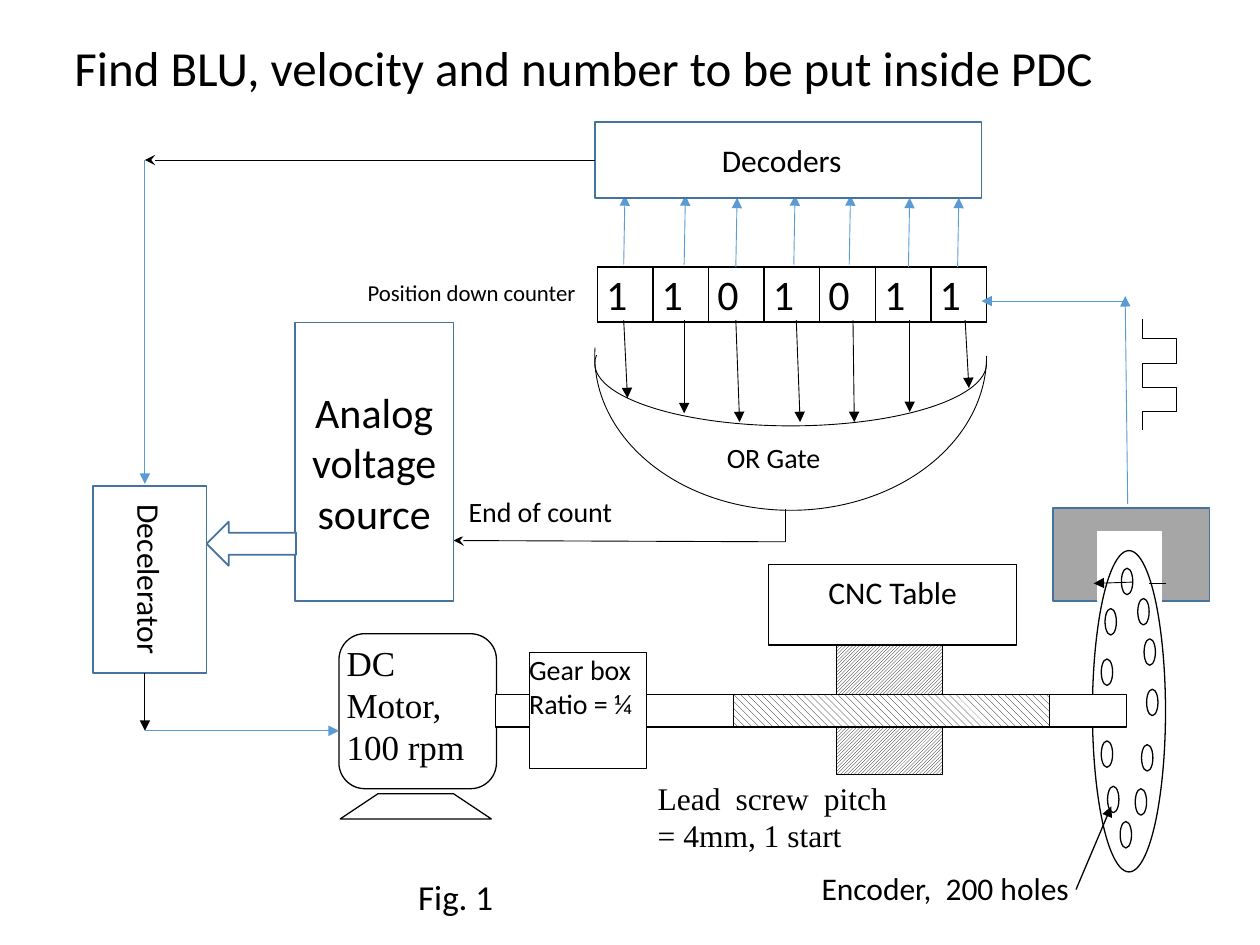
from lxml import etree
from pptx import Presentation
from pptx import util as u
from pptx.dml.color import RGBColor
from pptx.enum import dml, shapes, text
from pptx.oxml.ns import qn

COLORS = {"ink": "000000", "paper": "FFFFFF", "outline": "43739E",
          "signal": "5B9BD5", "sensor": "A6A6A6"}
KIND = shapes.MSO_SHAPE
ALIGN = text.PP_ALIGN
TOP, MIDDLE = text.MSO_ANCHOR.TOP, text.MSO_ANCHOR.MIDDLE

presentation = Presentation()
presentation.slide_width, presentation.slide_height = u.Inches(10), u.Inches(7.5)
GRID = presentation.slide_width / 100  # the slide is 100 columns by 75 rows
slide = presentation.slides.add_slide(presentation.slide_layouts[5])


def add_box(kind, place, words="", size=18, line=None, width=0.75, fill="paper",
            font="Calibri", align=ALIGN.LEFT, anchor=TOP, inset=None, spacing=1.0):
    """Add a preset shape at (column, row, columns, rows), with optional text."""
    shape = slide.shapes.add_shape(kind, *[round(value * GRID) for value in place])
    shape.shadow.inherit = False
    if fill:
        shape.fill.solid()
        shape.fill.fore_color.rgb = RGBColor.from_string(COLORS[fill])
    else:
        shape.fill.background()
    if line:
        shape.line.color.rgb = RGBColor.from_string(COLORS[line])
        shape.line.width = u.Pt(width)
    else:
        shape.line.fill.background()
    if words:
        frame = shape.text_frame
        frame.text = words
        frame.word_wrap = True
        frame.vertical_anchor = anchor
        if inset is not None:
            frame.margin_left = frame.margin_right = u.Inches(inset)
            frame.margin_top = frame.margin_bottom = u.Inches(inset)
        paragraph = frame.paragraphs[0]
        paragraph.alignment = align
        paragraph.line_spacing = spacing
        paragraph.font.size = u.Pt(size)
        paragraph.font.name = font
        paragraph.font.color.rgb = RGBColor.from_string(COLORS["ink"])
    return shape


def add_line(start, end, color="ink", arrow=None, width=0.5,
             kind=shapes.MSO_CONNECTOR.STRAIGHT):
    """Add a connector between two (column, row) points; the arrow is at the end."""
    connector = slide.shapes.add_connector(
        kind, *[round(value * GRID) for value in (*start, *end)])
    connector.line.color.rgb = RGBColor.from_string(COLORS[color])
    connector.line.width = u.Pt(width)
    if arrow:
        outline = connector.line._get_or_add_ln()
        etree.SubElement(outline, qn("a:tailEnd"), type=arrow)
    etree.SubElement(connector._element.spPr, qn("a:effectLst"))
    return connector


# Title
title = slide.shapes.title
title.left, title.top, title.width, title.height = [
    round(value * GRID) for value in (4.9, 1.6, 90, 8)]
title.text_frame.text = "Find BLU, velocity and number to be put inside PDC"
title.text_frame.vertical_anchor = MIDDLE
paragraph = title.text_frame.paragraphs[0]
paragraph.alignment = ALIGN.LEFT
paragraph.line_spacing = 0.9
paragraph.font.size = u.Pt(28)
paragraph.font.name = "Calibri"
paragraph.font.color.rgb = RGBColor.from_string(COLORS["ink"])

# Encoder sensor and disc
add_box(KIND.RECTANGLE, (83.6, 40.3, 12.4, 7.4), line="outline", width=1, fill="sensor")
add_box(KIND.RECTANGLE, (87.1, 42.2, 5.1, 5.5), line="paper", width=1)
add_box(KIND.OVAL, (86.7, 43.7, 5.8, 25.5), line="ink")
holes = [(89, 45.1), (87.7, 48.3), (90.8, 50.7), (87.4, 52.3), (90.1, 62.6), (88.9, 65.2),
         (91, 54.7), (90.6, 59.1), (90.3, 47.5), (87.4, 58.8), (87.9, 62.4)]
for column, row in holes:
    add_box(KIND.OVAL, (column, row, 0.9, 2.1), line="ink")
add_box(KIND.RECTANGLE, (65.2, 68.8, 21.9, 5.5), "Encoder,  200 holes",
        inset=0, spacing=1.07)
add_line((85.4, 70.6), (88.2, 64), arrow="triangle", width=0.75)

# Motor, gear box and lead screw
add_box(KIND.FLOWCHART_ALTERNATE_PROCESS, (26.9, 50.3, 12.5, 12.3), "DC Motor, 100 rpm",
        size=20, line="ink", font="Times New Roman", inset=0)
builder = slide.shapes.build_freeform(26.7, 65.4, scale=GRID)
builder.add_line_segments([(29.7, 62.6), (35.8, 62.6), (38.8, 65.4)], close=True)
stand = builder.convert_to_shape()
stand.shadow.inherit = False
stand.fill.solid()
stand.fill.fore_color.rgb = RGBColor.from_string(COLORS["paper"])
stand.line.color.rgb = RGBColor.from_string(COLORS["ink"])
stand.line.width = u.Pt(0.75)
add_box(KIND.RECTANGLE, (39.3, 55.1, 40.2, 2.6), line="ink")
add_box(KIND.FLOWCHART_PROCESS, (42, 51.8, 9.3, 9.2), "Gear box Ratio = ¼",
        size=16, line="ink", inset=0)
nut = add_box(KIND.RECTANGLE, (66.4, 51.2, 8.4, 10.3), line="ink")
screw = add_box(KIND.RECTANGLE, (58.2, 55.1, 25.1, 2.6), line="ink")
for shape, pattern in ((nut, dml.MSO_PATTERN.LIGHT_UPWARD_DIAGONAL),
                       (screw, dml.MSO_PATTERN.WIDE_DOWNWARD_DIAGONAL)):
    shape.fill.patterned()
    shape.fill.pattern = pattern
    shape.fill.fore_color.rgb = RGBColor.from_string(COLORS["ink"])
    shape.fill.back_color.rgb = RGBColor.from_string(COLORS["paper"])
add_box(KIND.FLOWCHART_PROCESS, (61, 44.8, 19.7, 6.4), "CNC Table", line="ink",
        align=ALIGN.CENTER, spacing=1.07)
add_box(KIND.RECTANGLE, (52.2, 61.8, 18.2, 7.5), "Lead screw pitch = 4mm, 1 start",
        font="Times New Roman", align=ALIGN.JUSTIFY, inset=0)
add_box(KIND.RECTANGLE, (83.3, 55.1, 6.1, 2.6), line="ink")
add_box(KIND.RECTANGLE, (32.2, 68.8, 11.1, 6), "Fig. 1", size=20, spacing=1.07)

# Position down counter
bits = "1101011"
counter = slide.shapes.add_table(1, len(bits), *[
    round(value * GRID) for value in (47.4, 21.2, 30.9, 4.2)]).table
counter.first_row = counter.horz_banding = False
for cell, bit in zip(counter.iter_cells(), bits):
    cell.text_frame.text = bit
    cell.margin_left = cell.margin_right = u.Inches(0.07)
    cell.margin_top = cell.margin_bottom = 0
    paragraph = cell.text_frame.paragraphs[0]
    paragraph.line_spacing = 1.07
    paragraph.font.size = u.Pt(24)
    paragraph.font.name = "Calibri"
    paragraph.font.color.rgb = RGBColor.from_string(COLORS["ink"])
    properties = cell._tc.get_or_add_tcPr()
    for side in ("lnL", "lnR", "lnT", "lnB"):
        border = etree.SubElement(properties, qn("a:" + side), w=str(u.Pt(1)))
        border_fill = etree.SubElement(border, qn("a:solidFill"))
        etree.SubElement(border_fill, qn("a:srgbClr"), val=COLORS["ink"])
    cell.fill.solid()
    cell.fill.fore_color.rgb = RGBColor.from_string(COLORS["paper"])
add_box(KIND.RECTANGLE, (28.2, 21.5, 21, 4.2), "Position down counter", size=13,
        fill=None, spacing=1.07)

# OR gate with its inputs and output
for place in ((50.5, 12.7, 24.5, 31.1), (57.8, 13.3, 9.9, 31.1)):
    arc = add_box(KIND.ARC, place, line="ink", width=0.5, fill=None)
    arc.rotation = 90
    arc.adjustments[0], arc.adjustments[1] = 162, 55.485
gate_inputs = [(49.5, 49.8, 31.6), (54.3, 54.3, 32.8), (58.4, 58.7, 33.5), (63.2, 63.5, 33.5),
               (67.7, 67.8, 33.5), (72.2, 72.2, 32.7), (76.6, 76.9, 30.8)]
for start, end, row in gate_inputs:
    add_line((start, 25.4), (end, row), arrow="triangle")
add_line((62.3, 43), (36, 42.9), arrow="stealth")
add_line((62.3, 43), (62.3, 40.4))
add_box(KIND.RECTANGLE, (36.2, 38.6, 17.2, 4), "End of count", size=16, spacing=1.07)
add_box(KIND.RECTANGLE, (56.7, 34.3, 13.3, 4.1), "OR Gate", size=16, spacing=1.07)

# Encoder pulses: quarter-turned elbows, every second one mirrored
for row, start, end in ((27.5, 90.5, 93.5), (25.5, 93.5, 90.5),
                        (31.3, 90.5, 93.5), (29.4, 93.5, 90.5)):
    pulse = add_line((start, row), (end, row + 2.7), kind=shapes.MSO_CONNECTOR.ELBOW)
    pulse._element.spPr.find(qn("a:xfrm")).set("rot", "5400000")

# Encoder signal into the counter
add_line((89.9, 46.2), (86.8, 46.3), arrow="triangle")
add_line((92.5, 46.3), (91.2, 46.3))
add_line((89.5, 40), (89.3, 23.5), "signal", "triangle")
add_line((89.3, 23.9), (77.9, 23.9), "signal", "triangle")

# Decoders and voltage control loop
for column, row in ((49.5, 21), (54.3, 21), (58.4, 21.2), (63, 21),
                    (67.4, 21), (72.1, 21.2), (76, 21.2)):
    add_line((column, row), (column + 0.1, row - 5.5), "signal", "triangle")
blue_box = dict(line="outline", width=1, align=ALIGN.CENTER, anchor=MIDDLE)
add_box(KIND.RECTANGLE, (23.4, 25.6, 12.6, 22.1), "Analog voltage source", size=24, **blue_box)
decoders = add_box(KIND.RECTANGLE, (47.2, 9.7, 30.7, 6), "Decoders", **blue_box)
decoders.text_frame.margin_right = u.Inches(0.2)
add_box(KIND.LEFT_ARROW, (16.4, 41.4, 7.1, 3.5), line="outline", width=1)
decelerator = add_box(KIND.RECTANGLE, (7.4, 38.6, 9, 14.8), "Decelerator", **blue_box)
decelerator.text_frame._txBody.bodyPr.set("vert", "vert")
feedback = add_line((47.2, 12.7), (11.5, 12.7), arrow="stealth")
feedback.begin_connect(decoders, 1)
add_line((11.5, 12.7), (11.5, 38.4), "signal", "triangle")
add_line((11.5, 53.4), (11.5, 58), arrow="triangle")
add_line((11.5, 58), (26.9, 58), "signal", "triangle")

presentation.save("out.pptx")
